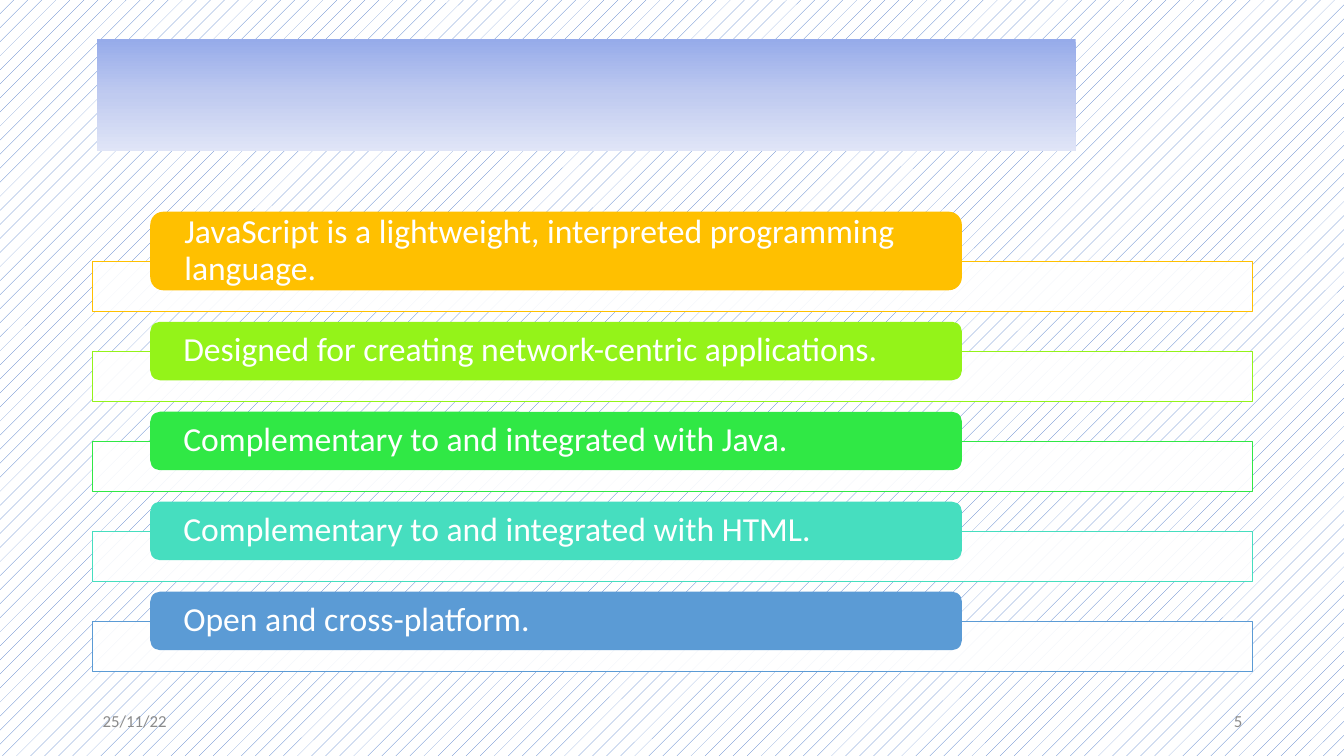
from lxml.etree import SubElement
from copy import deepcopy
from pptx import Presentation
from pptx.dml.color import RGBColor
from pptx.enum.dml import MSO_PATTERN
from pptx.enum.shapes import MSO_SHAPE
from pptx.enum.text import MSO_ANCHOR, PP_ALIGN
from pptx.oxml.ns import qn
from pptx.util import Inches, Pt


def color(value):
    return RGBColor.from_string(value)


class SlideBuilder:
    """Holds the slide style and draws each kind of element."""

    font = "Calibri"
    white = "FFFFFF"
    muted = "8C8C8C"

    def __init__(self, slide):
        self.slide = slide

    def background(self, foreground):
        fill = self.slide.background.fill
        fill.patterned()
        fill.pattern = MSO_PATTERN.PERCENT_5
        fill.fore_color.rgb = color(foreground)
        fill.back_color.rgb = color(self.white)

    def shape(self, kind, left, top, width, height):
        shape = self.slide.shapes.add_shape(
            kind, Inches(left), Inches(top), Inches(width), Inches(height))
        shape.shadow.inherit = False
        shape.line.fill.background()
        return shape

    def add_text(self, box, text, size, text_color, align):
        frame = box.text_frame
        frame.word_wrap = True
        frame.vertical_anchor = MSO_ANCHOR.MIDDLE
        para = frame.paragraphs[0]
        para.alignment = align
        span = para.add_run()
        span.text = text
        span.font.name = self.font
        span.font.size = Pt(size)
        span.font.color.rgb = color(text_color)
        return para

    def title_band(self, left, top, width, height, colors):
        band = self.shape(MSO_SHAPE.RECTANGLE, left, top, width, height)
        band.fill.gradient()
        band.fill.gradient_angle = 270
        first = band._element.spPr.find(f".//{qn('a:gs')}")
        first.addnext(deepcopy(first))
        for index, (stop, value) in enumerate(zip(band.fill.gradient_stops, colors)):
            stop.position = index / (len(colors) - 1)
            stop.color.rgb = color(value)

    def frame_bar(self, top, accent):
        bar = self.shape(MSO_SHAPE.RECTANGLE, 0.92, top, 11.5, 0.5)
        bar.fill.solid()
        bar.fill.fore_color.rgb = color(self.white)
        tint = bar._element.spPr.find(f"{qn('a:solidFill')}/{qn('a:srgbClr')}")
        SubElement(tint, qn("a:alpha")).set("val", "90000")
        bar.line.color.rgb = color(accent)
        bar.line.width = Pt(0.5)

    def label(self, top, height, text, accent):
        box = self.shape(MSO_SHAPE.ROUNDED_RECTANGLE, 1.49, top, 8.05, height)
        box.fill.solid()
        box.fill.fore_color.rgb = color(accent)
        frame = box.text_frame
        frame.margin_left = frame.margin_right = Inches(0.3)
        frame.margin_top = frame.margin_bottom = 0
        para = self.add_text(box, text, 24, self.white, PP_ALIGN.LEFT)
        para.line_spacing = 0.9

    def footer(self, left, text, align):
        box = self.slide.shapes.add_textbox(
            Inches(left), Inches(6.95), Inches(3), Inches(0.4))
        self.add_text(box, text, 12, self.muted, align)


def main():
    deck = Presentation()
    deck.slide_width = Inches(13.33)
    deck.slide_height = Inches(7.5)
    page = SlideBuilder(deck.slides.add_slide(deck.slide_layouts[6]))
    page.background("4472C4")

    features = [
        ("JavaScript is a lightweight, interpreted programming language.", "FFC000", 0.78),
        ("Designed for creating network-centric applications.", "94F319", 0.58),
        ("Complementary to and integrated with Java.", "30E845", 0.58),
        ("Complementary to and integrated with HTML.", "46DEBF", 0.58),
        ("Open and cross-platform.", "5B9BD5", 0.58),
    ]
    first_top, last_top, overlap = 2.59, 6.16, 0.29
    pitch = (last_top - first_top) / (len(features) - 1)
    for index, (text, accent, height) in enumerate(features):
        top = first_top + index * pitch
        page.frame_bar(top, accent)
        page.label(top + overlap - height, height, text, accent)

    page.footer(0.92, "25/11/22", PP_ALIGN.LEFT)
    page.footer(9.42, "5", PP_ALIGN.RIGHT)
    page.title_band(0.96, 0.39, 9.71, 1.11, ["96ABEA", "C0CBF0", "E0E5F7"])
    deck.save("out.pptx")


if __name__ == "__main__":
    main()
